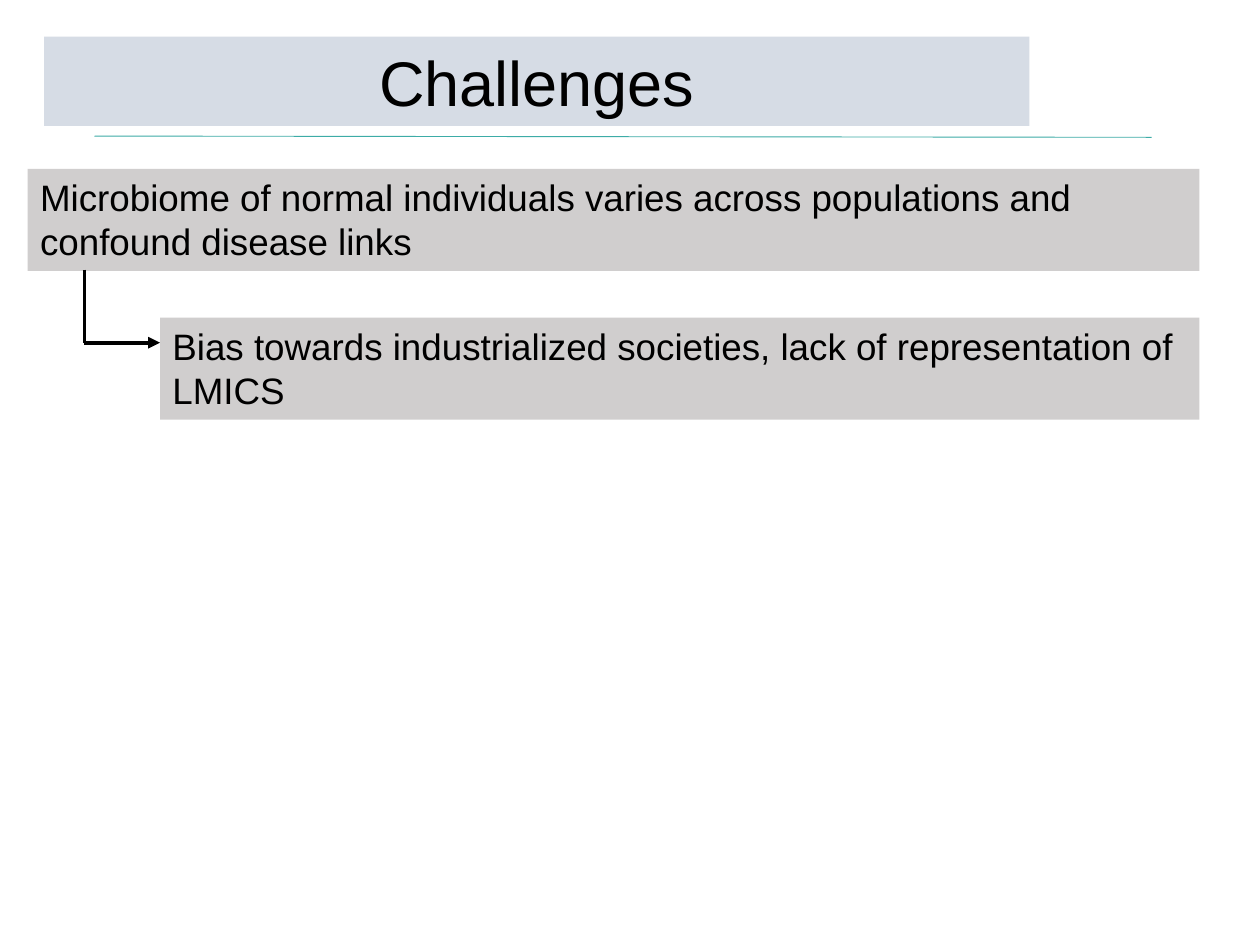
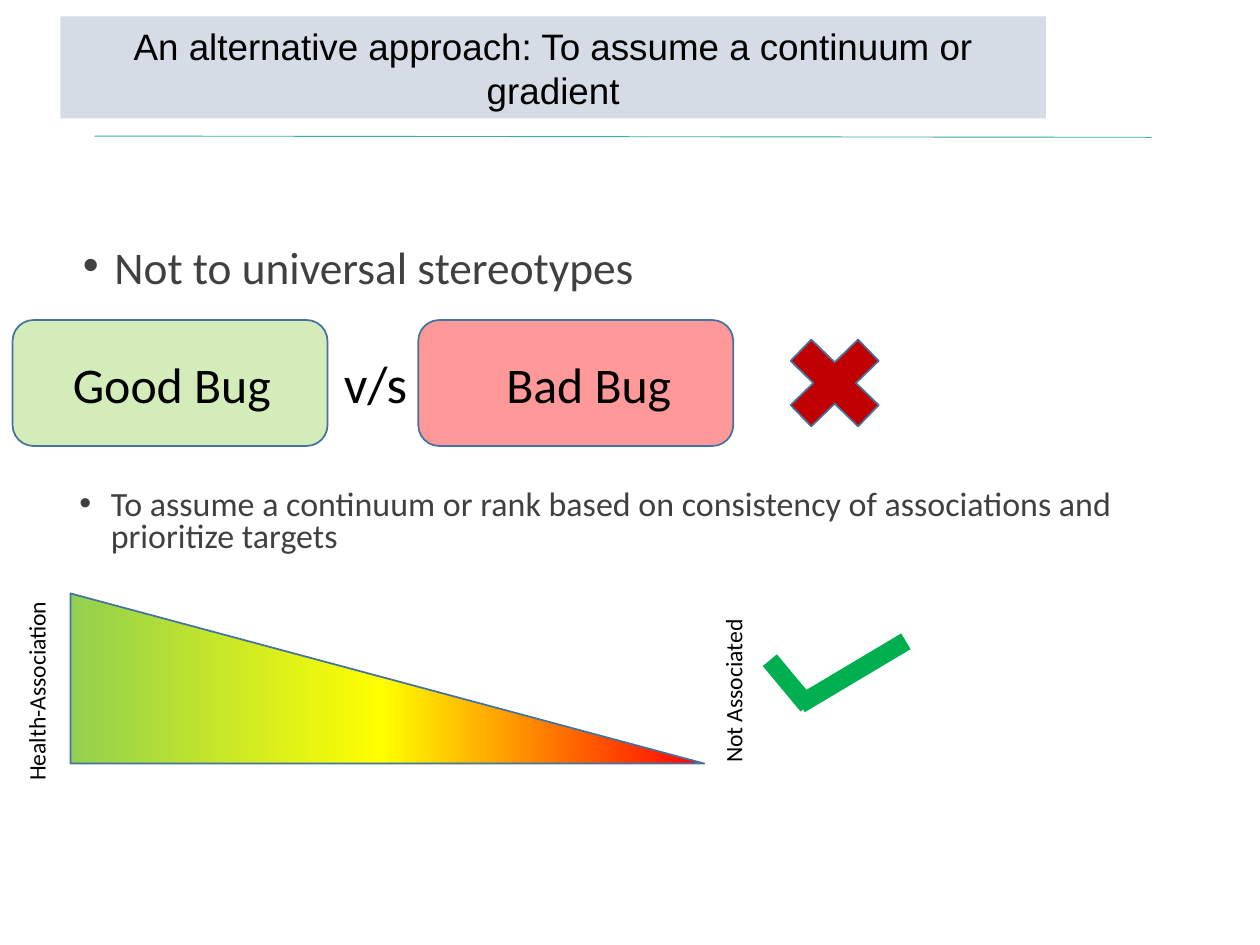
from copy import deepcopy

from pptx import Presentation
from pptx.dml.color import RGBColor
from pptx.enum.shapes import MSO_CONNECTOR, MSO_SHAPE
from pptx.enum.text import MSO_ANCHOR, MSO_AUTO_SIZE, PP_ALIGN
from pptx.oxml.ns import qn
from pptx.util import Pt
from lxml import etree

PX = 9144  # 100 px to the inch
STRAIGHT = MSO_CONNECTOR.STRAIGHT
ROUNDED, CROSS, WEDGE = (
    MSO_SHAPE.ROUNDED_RECTANGLE, MSO_SHAPE.MATH_MULTIPLY, MSO_SHAPE.RIGHT_TRIANGLE)
TOP, MIDDLE = MSO_ANCHOR.TOP, MSO_ANCHOR.MIDDLE
LEFT, CENTER = PP_ALIGN.LEFT, PP_ALIGN.CENTER
NO_AUTOFIT = MSO_AUTO_SIZE.NONE

BLACK = RGBColor(0x00, 0x00, 0x00)
BODY_GREY = RGBColor(0x40, 0x40, 0x40)
TITLE_BAND = RGBColor(0xD6, 0xDC, 0xE5)
CLAIM_GREY = RGBColor(0xD0, 0xCE, 0xCE)
TEAL = RGBColor(0x3D, 0xAC, 0xA7)
OUTLINE = RGBColor(0x43, 0x73, 0x9E)
GREEN = RGBColor(0x92, 0xD0, 0x50)
YELLOW = RGBColor(0xFF, 0xFF, 0x00)
RED = RGBColor(0xFF, 0x00, 0x00)
DARK_RED = RGBColor(0xC0, 0x00, 0x00)
TICK_GREEN = RGBColor(0x00, 0xB0, 0x50)

SANS, BODY = "Arial", "Calibri"


def write(slide, text, box, size, font=BODY, color=BLACK, align=LEFT, wrap=True):
    """Add a text box and return it."""
    text_box = slide.shapes.add_textbox(*(n * PX for n in box))
    frame = text_box.text_frame
    frame.word_wrap = wrap
    frame.text = text
    paragraph = frame.paragraphs[0]
    paragraph.alignment = align
    style = {"size": Pt(size), "name": font}
    for name, value in style.items():
        setattr(paragraph.runs[0].font, name, value)
    paragraph.runs[0].font.color.rgb = color
    return text_box


def draw_line(slide, ends, color, width, arrow=False):
    """Add a straight line, with an arrowhead at its end if asked for."""
    line = slide.shapes.add_connector(STRAIGHT, *(n * PX for n in ends))
    line.line.color.rgb = color
    line.line.width = Pt(width)
    if arrow:
        etree.SubElement(line.line._get_or_add_ln(), qn("a:tailEnd"), type="triangle")
    etree.SubElement(line._element.spPr, qn("a:effectLst"))


prs = Presentation()
prs.slide_width, prs.slide_height = 1000 * PX, 750 * PX

# Title band and rule on both slides
titles = [
    ("Challenges", (35, 29, 782, 71), 36),
    ("An alternative approach: To assume a continuum or gradient",
     (48, 13, 782, 81), 21),
]
slides = []
for text, box, size in titles:
    slide = prs.slides.add_slide(prs.slide_layouts[5])
    slides.append(slide)
    draw_line(slide, (75, 108, 914, 109), TEAL, 0.5)
    title = slide.shapes.title
    title.left, title.top, title.width, title.height = (n * PX for n in box)
    title.fill.solid()
    title.fill.fore_color.rgb = TITLE_BAND
    title.text_frame.text = text
    title.text_frame.auto_size = NO_AUTOFIT
    title.text_frame.vertical_anchor = MIDDLE
    paragraph = title.text_frame.paragraphs[0]
    paragraph.alignment = CENTER
    for name, value in {"size": Pt(size), "name": SANS}.items():
        setattr(paragraph.runs[0].font, name, value)
    paragraph.runs[0].font.color.rgb = BLACK
challenges, approach = slides

# Challenges: a claim and what follows from it
claims = [
    ("Microbiome of normal individuals varies across populations and "
     "confound disease links", (22, 134, 930, 81)),
    ("Bias towards industrialized societies, lack of representation of LMICS",
     (127, 252, 825, 81)),
]
for text, box in claims:
    claim = write(challenges, text, box, 21, font=SANS)
    claim.fill.solid()
    claim.fill.fore_color.rgb = CLAIM_GREY
draw_line(challenges, (67, 214, 67, 272), BLACK, 2)
draw_line(challenges, (67, 272, 127, 272), BLACK, 2.25, arrow=True)

# Approach: the two bullets
bullets = [
    ("Not to universal stereotypes", (56, 197, 638, 44), 25.9, 0.7, (10, 5)),
    ("To assume a continuum or rank based on consistency of associations and "
     "prioritize targets", (56, 385, 923, 61), 19.4, 0.8, (7, 4)),
]
for text, box, size, spacing, (side, edge) in bullets:
    bullet = write(approach, text, box, size, color=BODY_GREY)
    frame = bullet.text_frame
    margins = {"margin_left": side, "margin_right": side,
               "margin_top": edge, "margin_bottom": edge}
    for name, value in margins.items():
        setattr(frame, name, value * PX)
    frame.vertical_anchor = TOP
    paragraph = frame.paragraphs[0]
    properties = paragraph._p.get_or_add_pPr()
    properties.set("marL", str(25 * PX))
    properties.set("indent", str(-25 * PX))
    etree.SubElement(properties, qn("a:buFont"), typeface=SANS)
    etree.SubElement(properties, qn("a:buChar"), char="•")
    paragraph.line_spacing = spacing

# Approach: outlined shapes, with fill opacity in percent
outlined = [
    (ROUNDED, (10, 254, 250, 100), GREEN, 40),
    (ROUNDED, (332, 254, 250, 100), RED, 40),
    (CROSS, (611, 254, 103, 100), DARK_RED, 100),
    (WEDGE, (56, 471, 503, 135), None, 100),
]
for kind, box, color, opacity in outlined:
    shape = approach.shapes.add_shape(kind, *(n * PX for n in box))
    shape.shadow.inherit = False
    shape.line.color.rgb = OUTLINE
    shape.line.width = Pt(1)
    if color is not None:
        shape.fill.solid()
        shape.fill.fore_color.rgb = color
        if opacity < 100:
            tint = shape._element.spPr.find(qn("a:solidFill"))[0]
            etree.SubElement(tint, qn("a:alpha"), val=str(opacity * 1000))
    else:
        # The continuum runs from healthy green to red
        shape.fill.gradient()
        shape.fill.gradient_angle = 0
        stop_list = shape._element.spPr.find(".//" + qn("a:gsLst"))
        stop_list.append(deepcopy(stop_list[0]))
        ramp = [(0, GREEN), (0.49, YELLOW), (1, RED)]
        for stop, (position, stop_color) in zip(shape.fill.gradient_stops, ramp):
            stop.position = position
            stop.color.rgb = stop_color

# Approach: labels of the two bugs
for text, box, size in [
    ("Good Bug", (48, 276, 179, 58), 28.5),
    ("Bad Bug", (392, 276, 153, 58), 28.5),
    ("v/s", (263, 274, 71, 61), 30),
]:
    write(approach, text, box, size, wrap=False)

# Approach: upright labels at the ends of the continuum
for text, left in [("Health-Association", -65), ("Not Associated", 488)]:
    end_label = write(approach, text, (left, 532, 188, 33), 13.5, align=CENTER)
    end_label.rotation = 270

# Approach: tick
for stroke in [(611, 524, 641, 560), (719, 509, 635, 559)]:
    draw_line(approach, stroke, TICK_GREEN, 10.5)

prs.save("out.pptx")
